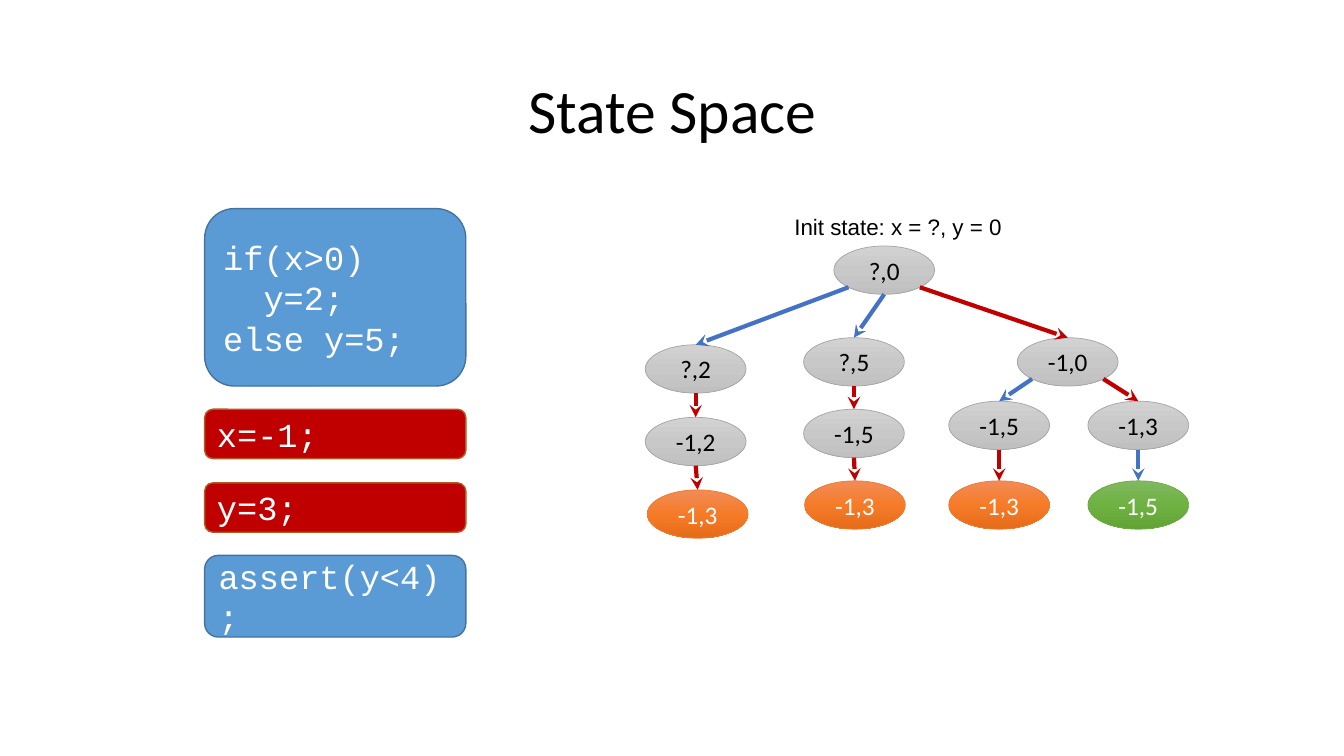
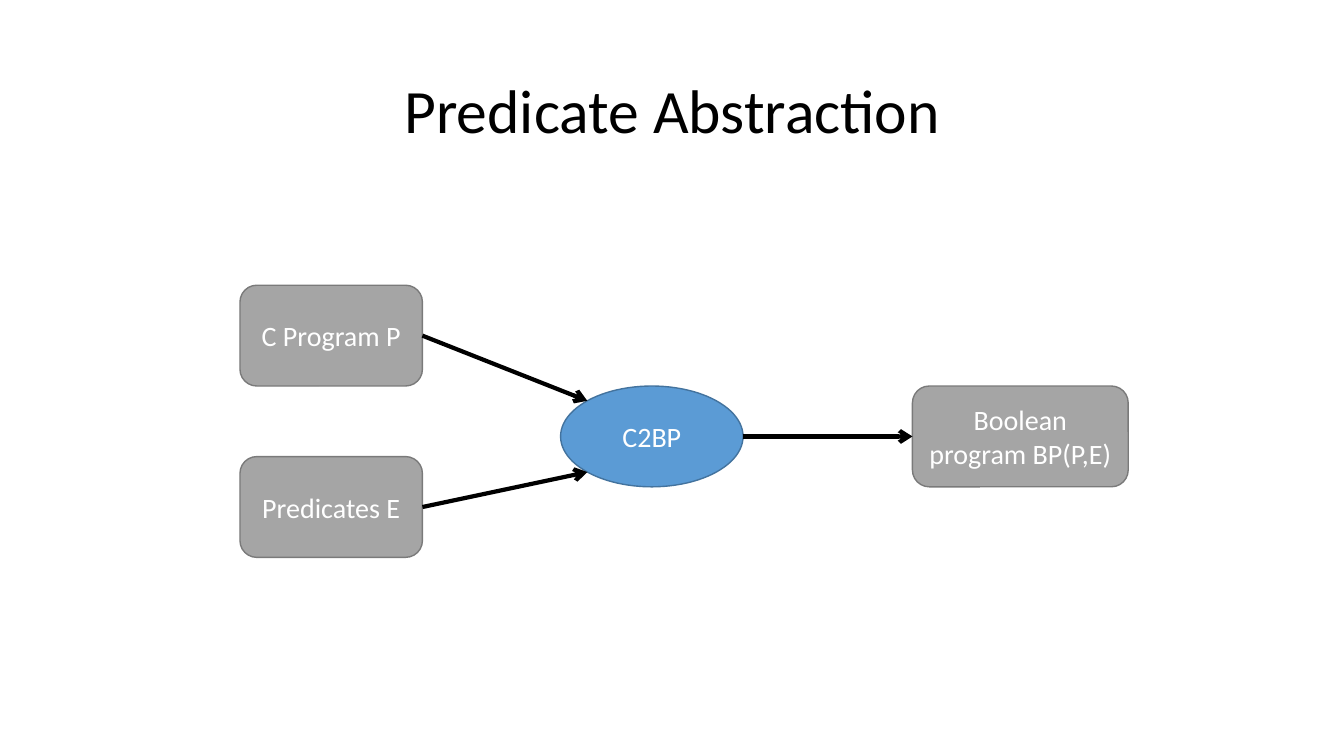
from math import sqrt

from lxml import etree
from pptx import Presentation
from pptx.dml.color import RGBColor
from pptx.enum.shapes import MSO_CONNECTOR, MSO_SHAPE
from pptx.enum.text import MSO_ANCHOR, PP_ALIGN
from pptx.oxml.ns import qn
from pptx.util import Inches, Pt

OVAL, ROUND = MSO_SHAPE.OVAL, MSO_SHAPE.ROUNDED_RECTANGLE
LINE = MSO_CONNECTOR.STRAIGHT
LEFT, MID = PP_ALIGN.LEFT, PP_ALIGN.CENTER
TOP, CENTER = MSO_ANCHOR.TOP, MSO_ANCHOR.MIDDLE

CELL = Inches(0.1)
BODY, MONO, SANS = "Calibri", "Courier New", "Arial"
BLACK, WHITE, RED, BLUE = "000000", "FFFFFF", "C00000", "4472C4"
SKY = ("5B9BD5", "43739E")
BRICK = (RED, "AF5C24")
STONE = ("A5A5A5", "7A7A7A")
GREY = (("D2D2D2", "C8C8C8", "C0C0C0"), "A5A5A5", BLACK)
ORANGE = (("F18C57", "F67B28", "E56C19"), "ED7D31", WHITE)
GREEN = (("81B861", "6FB242", "62A336"), "70AD47", WHITE)

DIAG = sqrt(0.5)
SITES = {
    "n": (0, -1), "w": (-1, 0), "s": (0, 1), "e": (1, 0),
    "nw": (-DIAG, -DIAG), "sw": (-DIAG, DIAG), "se": (DIAG, DIAG),
}
JOINS = {ROUND: {"n": 0, "w": 1, "s": 2, "e": 3}, OVAL: {"n": 0}}


def hue(code):
    return RGBColor.from_string(code)


def cells(*spans):
    return [round(span * CELL) for span in spans]


def write(shape, text, size=20, font=BODY, color=WHITE, align=MID,
          anchor=CENTER, wrap=True, space=None, indents=()):
    frame = shape.text_frame
    frame.word_wrap = wrap
    frame.vertical_anchor = anchor
    frame.text = text
    for para in frame.paragraphs:
        para.alignment = align
        para.line_spacing = space
        for run in para.runs:
            run.font.size = Pt(size)
            run.font.name = font
            run.font.color.rgb = hue(color)
    for row, inset in indents:
        props = frame.paragraphs[row]._p.get_or_add_pPr()
        props.set("marL", str(Pt(inset)))
        props.set("indent", "0")


def shade(shape, codes):
    shape.fill.gradient()
    shape.fill.gradient_angle = 270
    stops = next(shape._element.iter(qn("a:gsLst")))
    for stop in list(stops):
        stops.remove(stop)
    for rank, code in enumerate(codes):
        stop = etree.SubElement(stops, qn("a:gs"), pos=str(rank * 50000))
        etree.SubElement(stop, qn("a:srgbClr"), val=code)


def point(shape, side):
    x, y = SITES[side]
    return (round(shape.left + shape.width * (1 + x) / 2),
            round(shape.top + shape.height * (1 + y) / 2))


class Deck:
    def __init__(self):
        self.file = Presentation()
        self.file.slide_width = Inches(13.33)
        self.file.slide_height = Inches(7.5)
        self.home = None

    def slide(self, title):
        page = self.file.slides.add_slide(self.file.slide_layouts[6])
        self.home = page.shapes
        self.label(title, 9.2, 4, 115, 14.5, size=44, space=0.9)

    def group(self):
        self.home = self.home.add_group_shape().shapes

    def label(self, text, x, y, w, h, color=BLACK, **form):
        box = self.home.add_textbox(*cells(x, y, w, h))
        write(box, text, color=color, **form)

    def block(self, kind, text, x, y, w, h, fill, edge, width=1, **form):
        shape = self.home.add_shape(kind, *cells(x, y, w, h))
        shape.shadow.inherit = False
        if isinstance(fill, tuple):
            shade(shape, fill)
        else:
            shape.fill.solid()
            shape.fill.fore_color.rgb = hue(fill)
        shape.line.color.rgb = hue(edge)
        shape.line.width = Pt(width)
        write(shape, text, **form)
        return shape

    def code(self, text, y, h, tone, **form):
        self.block(ROUND, text, 20.3, y, 25.9, h, *tone,
                   size=24, font=MONO, align=LEFT, **form)

    def node(self, text, x, y, tone=GREY):
        fill, edge, ink = tone
        return self.block(OVAL, text, x, y, 10, 4.8, fill, edge,
                          width=0.5, size=18, color=ink)

    def arrow(self, start, out, end, into, color=BLACK, head="arrow"):
        line = self.home.add_connector(LINE, *point(start, out), *point(end, into))
        line.line.color.rgb = hue(color)
        line.line.width = Pt(3)
        etree.SubElement(line.line._get_or_add_ln(), qn("a:tailEnd"), type=head)
        etree.SubElement(line._element.spPr, qn("a:effectLst"))
        first = JOINS[start.auto_shape_type].get(out)
        last = JOINS[end.auto_shape_type].get(into)
        if first is not None:
            line.begin_connect(start, first)
        if last is not None:
            line.end_connect(end, last)


def states(deck):
    deck.slide("State Space")
    deck.code("if(x>0)\ny=2;\nelse y=5;", 20.7, 17.6, SKY, indents=[(1, 28.8)])
    deck.code("x=-1;", 40.6, 4.9, BRICK)
    deck.code("y=3;", 47.9, 4.9, BRICK)
    deck.code("assert(y<4);", 55.1, 8.1, SKY)

    deck.group()
    deck.label("Init state: x = ?, y = 0", 77.8, 20.7, 22.9, 3.7, size=16,
               font=SANS, align=LEFT, anchor=TOP, wrap=False)
    root = deck.node("?,0", 82.7, 24.4)
    fork = deck.node("-1,0", 100.9, 33.5)
    chains = [
        (root, "sw", BLUE, RED,
         [("?,2", 64, 34.2), ("-1,2", 64, 41.4), ("-1,3", 64.2, 48.6)], ORANGE),
        (root, "s", BLUE, RED,
         [("?,5", 79.7, 33.5), ("-1,5", 79.7, 40.6), ("-1,3", 79.8, 47.7)], ORANGE),
        (fork, "sw", BLUE, RED, [("-1,5", 94.1, 39.8), ("-1,3", 94.1, 47.7)], ORANGE),
        (fork, "se", RED, BLUE, [("-1,3", 107.9, 39.8), ("-1,5", 107.9, 47.7)], GREEN),
    ]
    deck.arrow(root, "se", fork, "n", RED, "stealth")
    for last, side, color, later, steps, tone in chains:
        for step in steps:
            node = deck.node(*step, tone if step == steps[-1] else GREY)
            deck.arrow(last, side, node, "n", color, "stealth")
            last, side, color = node, "s", later


def scheme(deck):
    deck.slide("Predicate Abstraction")
    code = deck.block(ROUND, "C Program P", 23.8, 28.3, 18.1, 10, *STONE)
    preds = deck.block(ROUND, "Predicates E", 23.8, 45.3, 18.1, 10, *STONE)
    tool = deck.block(OVAL, "C2BP", 55.6, 38.3, 18.1, 10, *SKY)
    out = deck.block(ROUND, "Boolean program BP(P,E)", 90.5, 38.3, 21.4, 10, *STONE)
    deck.arrow(tool, "e", out, "w")
    deck.arrow(code, "e", tool, "nw")
    deck.arrow(preds, "e", tool, "sw")


def main():
    deck = Deck()
    states(deck)
    scheme(deck)
    deck.file.save("out.pptx")


if __name__ == "__main__":
    main()
